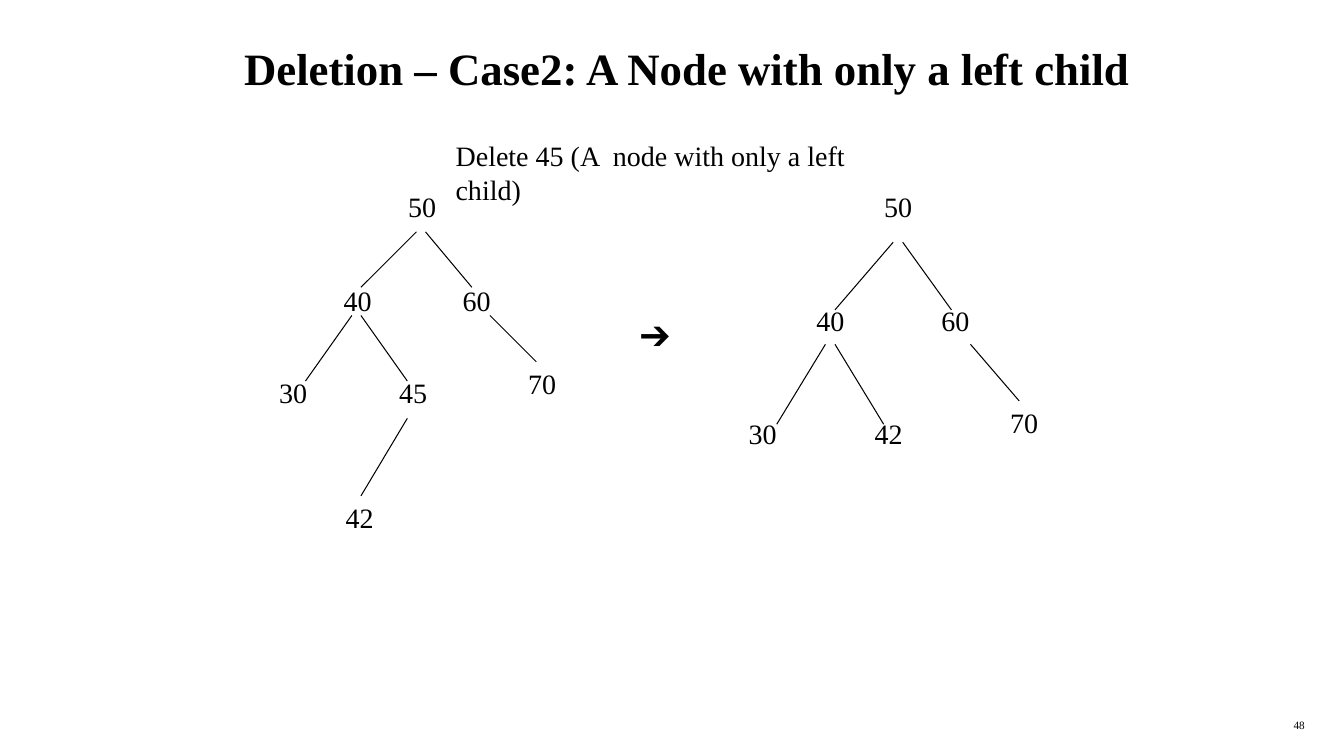
from lxml.etree import SubElement
from pptx import Presentation
from pptx.dml.color import RGBColor
from pptx.enum.shapes import MSO_CONNECTOR
from pptx.enum.text import MSO_ANCHOR, PP_ALIGN
from pptx.oxml.ns import qn
from pptx.util import Inches, Pt

# Content
TITLE = "Deletion – Case2: A Node with only a left child"
COLORS = {"ink": "000000"}
FONT = "Times New Roman"

# Captions: text, (left, top, width, height), size, alignment
CAPTIONS = [
    ("Delete 45 (A  node with only a left child)", (4.42, 1.33, 4.78, 0.43), 20, PP_ALIGN.LEFT),
    ("➔", (6.25, 3.08, 0.56, 0.5), 24, PP_ALIGN.LEFT),
    ("48", (10.26, 7.08, 2.78, 0.25), 8, PP_ALIGN.RIGHT),
]

# Positions in the tree, as offsets from the root's corner
PLACES = {
    "root": (0, 0),
    "left": (-0.64, 0.93),
    "right": (0.54, 0.93),
    "left left": (-1.28, 1.85),
    "left right": (-0.09, 1.85),
    "right right": (1.19, 1.76),
    "left right left": (-0.62, 3.09),
}
# Branch leading to each place: start and end offsets
BRANCHES = {
    "left": ((0.18, 0.47), (-0.37, 1.02)),
    "right": ((0.27, 0.47), (0.73, 1.02)),
    "left left": ((-0.46, 1.3), (-0.92, 1.95)),
    "left right": ((-0.37, 1.3), (0.09, 1.95)),
    "right right": ((0.91, 1.3), (1.37, 1.76)),
    "left right left": ((0.09, 2.32), (-0.37, 3.09)),
}
SHARED_KEYS = {"root": "50", "left": "40", "right": "60", "left left": "30", "right right": "70"}
TREES = [
    {"origin": (3.95, 1.83), "scale": (1, 1),
     "keys": {**SHARED_KEYS, "left right": "45", "left right left": "42"}},
    {"origin": (8.67, 1.83), "scale": (1.05, 1.22),
     "keys": {**SHARED_KEYS, "left right": "42"}},
]
NODE_SIZE = (0.48, 0.44)


def write(shape, text, size, alignment, bold=False):
    frame = shape.text_frame
    frame.text = text
    paragraph = frame.paragraphs[0]
    paragraph.alignment = alignment
    for name, value in {"name": FONT, "size": Pt(size), "bold": bold}.items():
        setattr(paragraph.font, name, value)
    paragraph.font.color.rgb = RGBColor.from_string(COLORS["ink"])


def add_text(slide, text, box, size, alignment=PP_ALIGN.LEFT):
    shape = slide.shapes.add_textbox(*map(Inches, box))
    shape.text_frame.word_wrap = alignment == PP_ALIGN.RIGHT
    write(shape, text, size, alignment)


def add_branch(slide, start, end):
    connector = slide.shapes.add_connector(
        MSO_CONNECTOR.STRAIGHT, *map(Inches, (*start, *end)))
    connector.line.color.rgb = RGBColor.from_string(COLORS["ink"])
    connector.line.width = Pt(0.75)
    SubElement(connector.element.spPr, qn("a:effectLst"))


def add_tree(slide, tree):
    def locate(offset):
        return tuple(origin + scale * distance for origin, scale, distance
                     in zip(tree["origin"], tree["scale"], offset))

    for place, key in tree["keys"].items():
        if place in BRANCHES:
            add_branch(slide, *map(locate, BRANCHES[place]))
        add_text(slide, key, (*locate(PLACES[place]), *NODE_SIZE), 20)


def main():
    presentation = Presentation()
    presentation.slide_width, presentation.slide_height = Inches(13.33), Inches(7.5)
    slide = presentation.slides.add_slide(presentation.slide_layouts[5])

    # Title
    title = slide.shapes.title
    for name, value in {"left": 0.51, "top": 0.17, "width": 12.61, "height": 1}.items():
        setattr(title, name, Inches(value))
    title.text_frame.vertical_anchor = MSO_ANCHOR.MIDDLE
    write(title, TITLE, 32, PP_ALIGN.CENTER, bold=True)

    # Trees before and after the deletion
    for tree in TREES:
        add_tree(slide, tree)

    # Captions, arrow and slide number
    for caption in CAPTIONS:
        add_text(slide, *caption)

    presentation.save("out.pptx")


if __name__ == "__main__":
    main()
